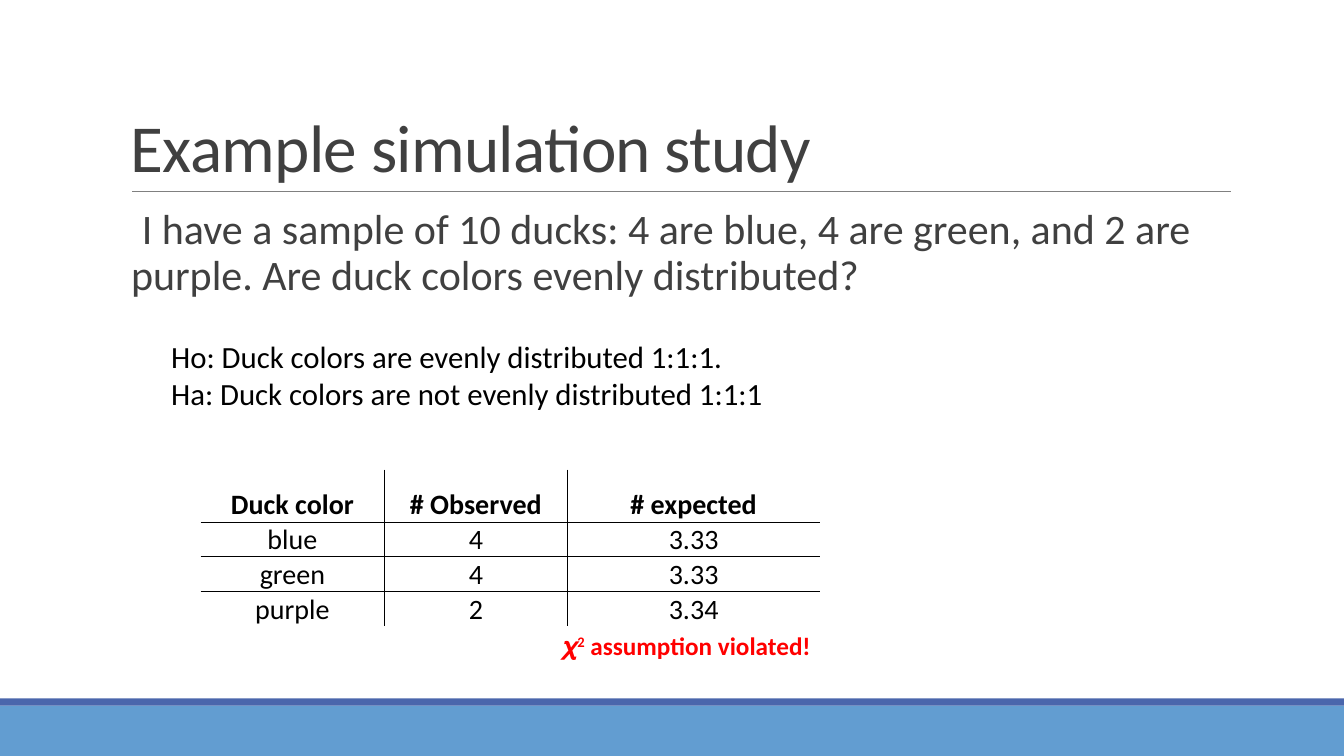
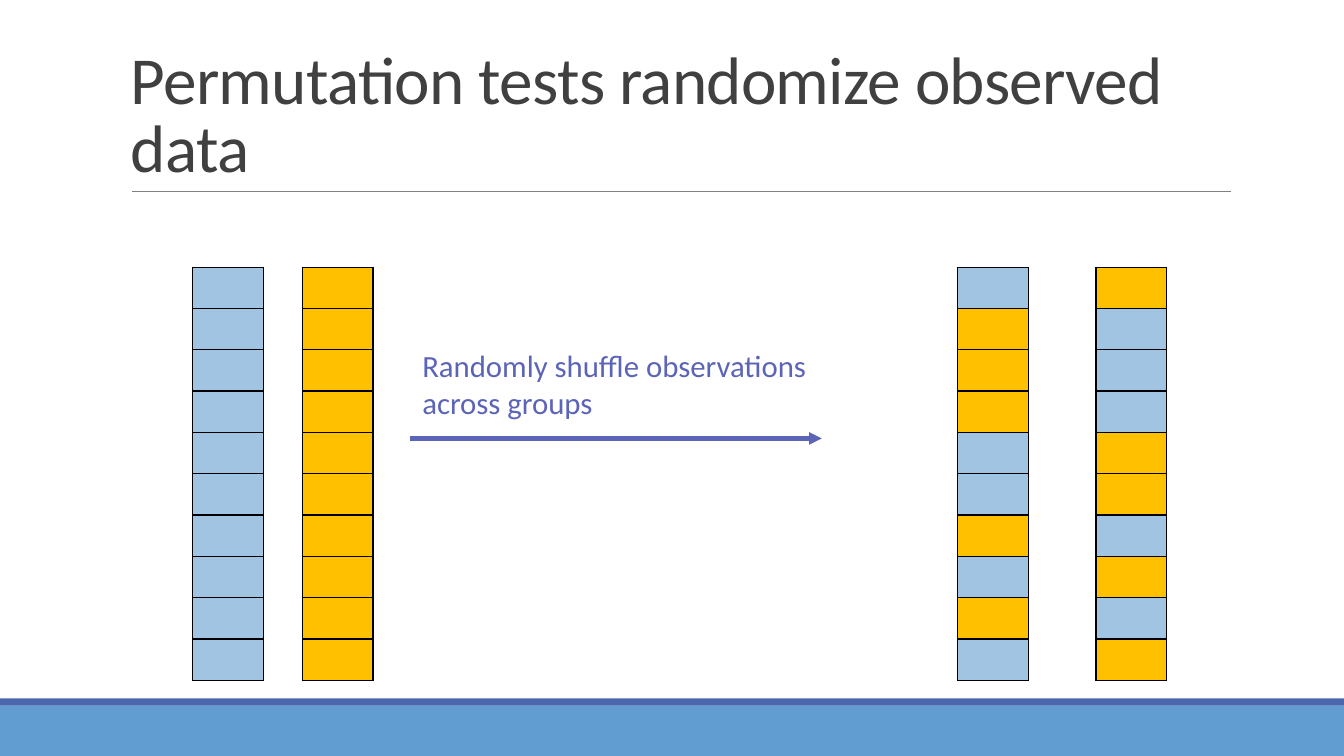
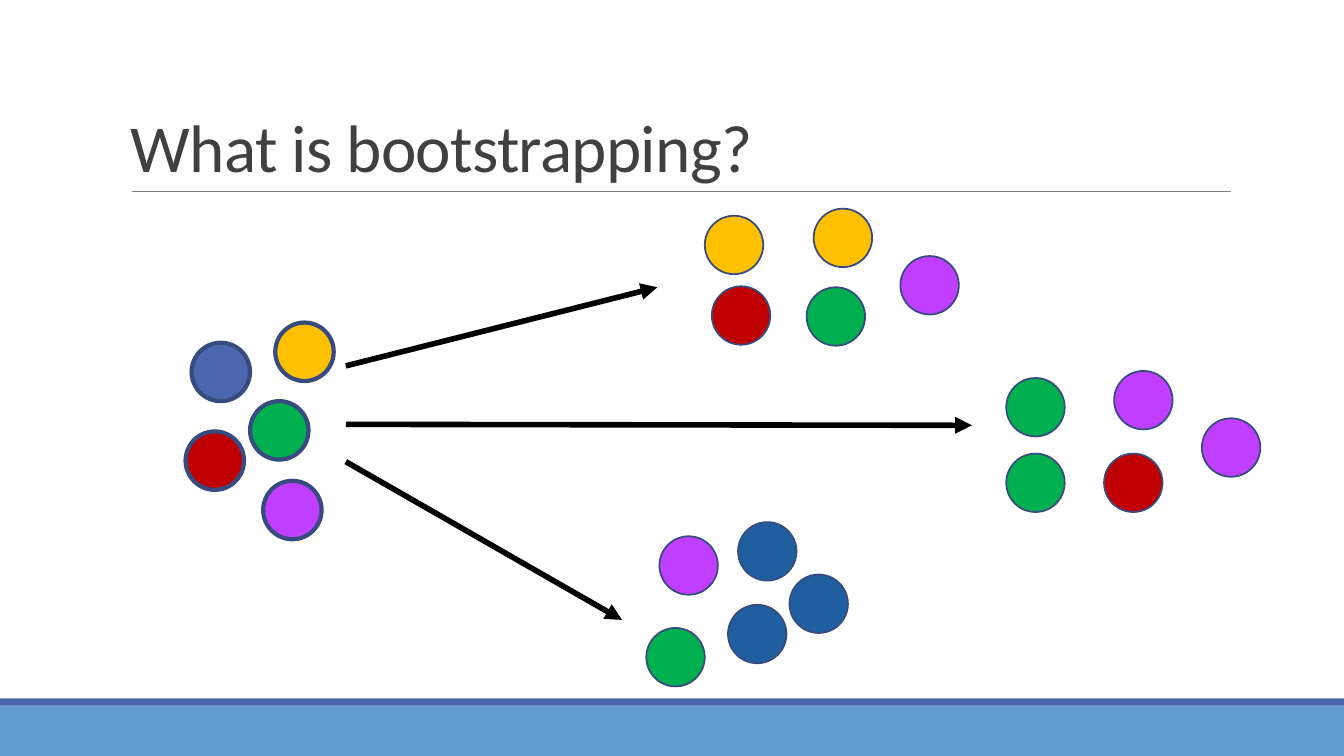
from dataclasses import dataclass

from lxml.etree import SubElement
from pptx import Presentation
from pptx.dml.color import RGBColor
from pptx.enum.shapes import MSO_CONNECTOR, MSO_SHAPE
from pptx.enum.text import MSO_ANCHOR, PP_ALIGN
from pptx.oxml.ns import qn
from pptx.util import Inches, Pt


@dataclass(frozen=True)
class Theme:
    font: str = "Calibri"
    ink: str = "404040"
    black: str = "000000"
    white: str = "FFFFFF"
    rule: str = "808080"
    band: str = "629DD1"
    blue: str = "4A66AC"
    navy: str = "1F5FA0"
    edge: str = "374B7F"
    sky: str = "A1C4E3"
    gold: str = "FFC000"
    green: str = "00B050"
    red: str = "C00000"
    alert: str = "FF0000"
    plum: str = "C03EFF"
    iris: str = "5C64B7"
    title: int = 48
    lead: int = 30
    body: int = 22
    grid: int = 20
    note: int = 18


class Deck:
    """Holds the theme and the current slide, and draws each kind of element."""

    PLAIN = "{2D5ABB26-0587-4C30-8999-92F81FD0307C}"

    def __init__(self, theme):
        self.theme = theme
        self.show = Presentation()
        self.show.slide_width = Inches(13.33)
        self.show.slide_height = Inches(7.5)
        self.slide = None

    def page(self, title):
        t = self.theme
        self.slide = self.show.slides.add_slide(self.show.slide_layouts[6])
        self.shape(MSO_SHAPE.RECTANGLE, (0, 7, 13.33, 0.5), t.band)
        self.shape(MSO_SHAPE.RECTANGLE, (0, 6.93, 13.33, 0.07), t.blue)
        self.line((1.31, 1.9), (12.21, 1.9), t.rule, 0.5)
        frame = self.text((1.2, 0.31, 11, 1.59), [[title]], t.title, t.ink)
        frame.vertical_anchor = MSO_ANCHOR.BOTTOM
        head = frame.paragraphs[0]
        head.line_spacing = 0.85
        head.runs[0]._r.get_or_add_rPr().set("spc", "-50")

    def shape(self, kind, spot, fill, edge=None, width=1):
        item = self.slide.shapes.add_shape(kind, *map(Inches, spot))
        item.shadow.inherit = False
        item.fill.solid()
        item.fill.fore_color.rgb = RGBColor.from_string(fill)
        if edge:
            item.line.color.rgb = RGBColor.from_string(edge)
            item.line.width = Pt(width)
        else:
            item.line.fill.background()

    def line(self, start, end, color, width, arrow=False):
        item = self.slide.shapes.add_connector(
            MSO_CONNECTOR.STRAIGHT, *map(Inches, start + end))
        item.line.color.rgb = RGBColor.from_string(color)
        item.line.width = Pt(width)
        if arrow:
            stroke = item._element.spPr.find(qn("a:ln"))
            SubElement(stroke, qn("a:tailEnd"), type="triangle")
        SubElement(item._element.spPr, qn("a:effectLst"))

    def add_run(self, para, text, size, color, bold=False):
        run = para.add_run()
        run.text = text
        run.font.name = self.theme.font
        run.font.size = Pt(size)
        run.font.bold = bold
        run.font.color.rgb = RGBColor.from_string(color)

    def text(self, spot, paras, size, color, bold=False, fill=None):
        box = self.slide.shapes.add_textbox(*map(Inches, spot))
        if fill:
            box.fill.solid()
            box.fill.fore_color.rgb = RGBColor.from_string(fill)
        frame = box.text_frame
        frame.word_wrap = True
        for i, parts in enumerate(paras):
            para = frame.add_paragraph() if i else frame.paragraphs[0]
            for part in parts:
                self.add_run(para, part, size, color, bold)
        return frame

    def lead(self, spot, text):
        frame = self.text(spot, [[text]], self.theme.lead, self.theme.ink)
        frame.margin_left = frame.margin_right = 0
        para = frame.paragraphs[0]
        para.line_spacing = 0.9
        props = para._p.get_or_add_pPr()
        props.set("marL", str(Inches(0.1)))
        props.set("indent", str(-Inches(0.1)))
        SubElement(props, qn("a:buChar"), char=" ")

    def table(self, left, top, wide, high):
        size = Inches(sum(wide)), Inches(sum(high))
        grid = self.slide.shapes.add_table(
            len(high), len(wide), Inches(left), Inches(top), *size).table
        grid.first_row = grid.horz_banding = False
        grid._tbl.tblPr.find(qn("a:tableStyleId")).text = self.PLAIN
        for col, width in zip(grid.columns, wide):
            col.width = Inches(width)
        for row, height in zip(grid.rows, high):
            row.height = Inches(height)
        return grid

    def border(self, cell, sides):
        props = cell._tc.get_or_add_tcPr()
        for side in sides:
            line = SubElement(props, qn("a:ln" + side), w=str(Pt(1)))
            fill = SubElement(line, qn("a:solidFill"))
            SubElement(fill, qn("a:srgbClr"), val=self.theme.black)

    def counts(self, left, top, wide, high, rows):
        grid = self.table(left, top, wide, high)
        for r, row in enumerate(rows):
            for c, text in enumerate(row):
                cell = grid.cell(r, c)
                inner = {"L": c > 0, "R": c < len(row) - 1,
                         "T": r > 0, "B": r < len(rows) - 1}
                self.border(cell, [side for side, on in inner.items() if on])
                cell.fill.background()
                cell.margin_left = cell.margin_right = cell.margin_top = Inches(0.01)
                cell.margin_bottom = 0
                cell.vertical_anchor = MSO_ANCHOR.BOTTOM
                para = cell.text_frame.paragraphs[0]
                para.alignment = PP_ALIGN.CENTER
                self.add_run(para, text, self.theme.grid, self.theme.black, r == 0)

    def stack(self, left, code):
        fills = {"b": self.theme.sky, "g": self.theme.gold}
        grid = self.table(left, 2.65, [0.7], [0.41] * len(code))
        for r, key in enumerate(code):
            cell = grid.cell(r, 0)
            self.border(cell, "LRTB")
            cell.fill.solid()
            cell.fill.fore_color.rgb = RGBColor.from_string(fills[key])

    def dots(self, width, spots):
        for left, top, fill in spots:
            self.shape(MSO_SHAPE.OVAL, (left, top, 0.58, 0.58), fill,
                       self.theme.edge, width)


def ducks(deck):
    t = deck.theme
    deck.page("Example simulation study")
    deck.lead((1.2, 2.02, 11, 4.4),
              "I have a sample of 10 ducks: 4 are blue, 4 are green, and 2 are "
              "purple. Are duck colors evenly distributed?")
    deck.counts(1.99, 4.66, [1.82, 1.82, 2.5], [0.52] + [0.34] * 3, [
        ("Duck color", "# Observed", "# expected"),
        ("blue", "4", "3.33"),
        ("green", "4", "3.33"),
        ("purple", "2", "3.34"),
    ])
    note = deck.text((5.47, 6.2, 2.9, 0.4), [["𝝌", "2", " assumption violated!"]],
                     t.note, t.alert, bold=True)
    note.paragraphs[0].runs[1]._r.get_or_add_rPr().set("baseline", "30000")
    deck.text((1.6, 3.3, 6.53, 0.84),
              [["Ho: Duck colors are evenly distributed 1:1:1."],
               ["Ha: Duck colors are not evenly distributed 1:1:1"]],
              t.body, t.black)


def shuffle(deck):
    t = deck.theme
    deck.page("Permutation tests randomize observed data")
    for left, code in ((1.91, "b" * 10), (3, "g" * 10),
                       (9.5, "bgggbbgbgb"), (10.87, "gbbbggbgbg")):
        deck.stack(left, code)
    deck.line((4.07, 4.35), (8.15, 4.35), t.iris, 3, arrow=True)
    deck.text((4.09, 3.39, 4.62, 0.84),
              [["Randomly shuffle observations across groups"]],
              t.body, t.iris, fill=t.white)


def boot(deck):
    t = deck.theme
    deck.page("What is bootstrapping?")
    for top, end in ((3.63, (6.52, 2.85)), (4.21, (9.64, 4.22)), (4.58, (6.17, 6.15))):
        deck.line((3.43, top), end, t.black, 4, arrow=True)
    deck.dots(3, [(1.9, 3.4, t.blue), (2.48, 3.98, t.green), (1.84, 4.28, t.red),
                  (2.61, 4.77, t.plum), (2.73, 3.2, t.gold)])
    deck.dots(1.25, [
        (6.99, 2.14, t.gold), (8, 2.85, t.green), (7.06, 2.84, t.red),
        (8.93, 2.54, t.plum), (8.07, 2.07, t.gold),
        (9.98, 3.75, t.green), (9.98, 4.5, t.green), (10.95, 4.5, t.red),
        (11.92, 4.15, t.plum), (11.05, 3.68, t.plum),
        (6.41, 6.23, t.green), (7.22, 6, t.navy), (6.54, 5.32, t.plum),
        (7.32, 5.18, t.navy), (7.83, 5.7, t.navy),
    ])


def main():
    deck = Deck(Theme())
    for draw in (ducks, shuffle, boot):
        draw(deck)
    deck.show.save("out.pptx")


if __name__ == "__main__":
    main()
